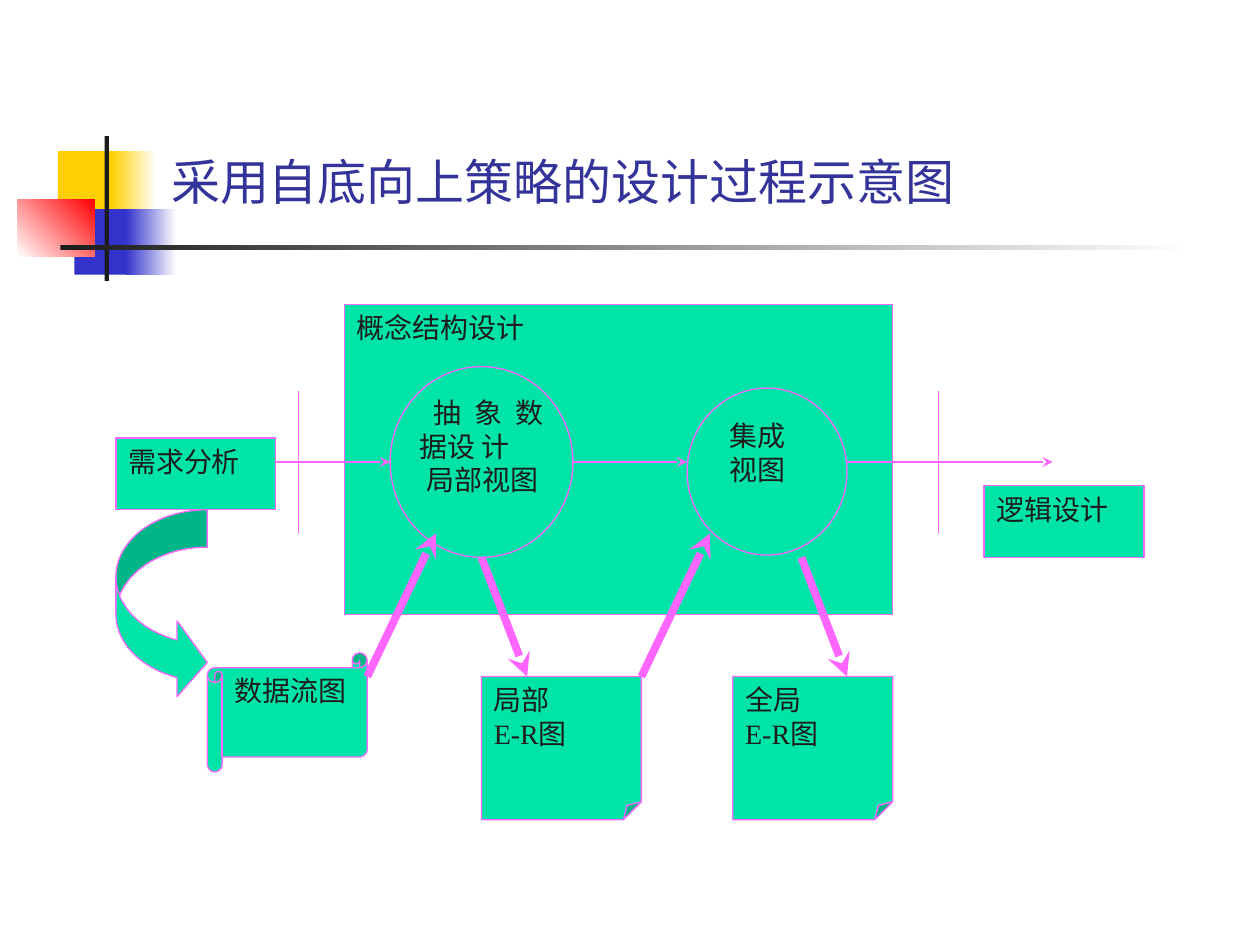
from dataclasses import dataclass
from lxml.etree import SubElement
from pptx import Presentation
from pptx.dml.color import RGBColor
from pptx.enum.shapes import MSO_CONNECTOR, MSO_SHAPE
from pptx.enum.text import MSO_ANCHOR, PP_ALIGN
from pptx.oxml.ns import qn
from pptx.util import Inches, Pt


@dataclass(frozen=True)
class Theme:
    panel: str = "00E4A8"
    outline: str = "FF66FF"
    ink: str = "1C1C1C"
    title: str = "333399"
    yellow: str = "FFCF01"
    blue: str = "3333CC"
    red: str = "FF0000"
    white: str = "FFFFFF"
    title_font: str = "Noto Sans CJK SC"
    body_font: str = "Times New Roman"
    title_size: float = 28
    body_size: float = 16
    thin: float = 0.75
    thick: float = 4.5


theme = Theme()
presentation = Presentation()
presentation.slide_width = Inches(10)
presentation.slide_height = Inches(7.5)
slide = presentation.slides.add_slide(presentation.slide_layouts[6])
percent_x = presentation.slide_width / 100
percent_y = presentation.slide_height / 100

grid_left, grid_top = Inches(0.92), Inches(2.91)
column, row = Inches(8.16) / 45, Inches(2.46) / 13


def grid_point(across, down):
    return int(grid_left + across * column), int(grid_top + down * row)


def set_font(paragraph, name, size, color):
    paragraph.font.name = name
    paragraph.font.size = Pt(size)
    paragraph.font.color.rgb = RGBColor.from_string(color)


ornaments = [
    (4.6, 16, 4.8, 6.93, [theme.yellow], 0),
    (8.8, 16, 3.6, 6.93, [theme.yellow, theme.white], 0),
    (5.9, 22.13, 4.6, 6.93, [theme.blue], 0),
    (10, 22.13, 4, 6.93, [theme.blue, theme.white], 0),
    (1.4, 21.07, 6.1, 6.13, [theme.white, theme.red], 45),
    (8.3, 14.4, 0.35, 15.33, [theme.ink], 0),
    (4.8, 25.95, 90, 0.47, [theme.ink, theme.white], 0),
]
for left, top, width, height, colors, angle in ornaments:
    shape = slide.shapes.add_shape(
        MSO_SHAPE.RECTANGLE, int(left * percent_x), int(top * percent_y),
        int(width * percent_x), int(height * percent_y))
    shape.shadow.inherit = False
    shape.line.fill.background()
    if len(colors) == 1:
        shape.fill.solid()
        shape.fill.fore_color.rgb = RGBColor.from_string(colors[0])
    else:
        shape.fill.gradient()
        shape.fill.gradient_angle = angle
        for stop, color in zip(shape.fill.gradient_stops, colors):
            stop.color.rgb = RGBColor.from_string(color)

title = slide.shapes.add_textbox(
    int(12.6 * percent_x), int(11.6 * percent_y),
    int(85.2 * percent_x), int(11.33 * percent_y))
title.text_frame.word_wrap = True
title.text_frame.vertical_anchor = MSO_ANCHOR.BOTTOM
title.text_frame.text = "采用自底向上策略的设计过程示意图"
set_font(title.text_frame.paragraphs[0], theme.title_font, theme.title_size, theme.title)

wide, narrow = (0.1, 0.05), (0.02, 0.01)
one_space, two_spaces = Pt(4), Pt(8)
corner = [("adj", 12500)]
curve = [("adj1", 41000), ("adj2", 83000), ("adj3", 33000)]
steps = [
    (MSO_SHAPE.RECTANGLE, 10, -2.6, 24, 13, wide, [("概念结构设计", 0)], []),
    (MSO_SHAPE.OVAL, 12, 0, 8, 8, narrow,
     [("抽象数据设 计", two_spaces), ("局部视图", one_space)], []),
    (MSO_SHAPE.OVAL, 25, 0.9, 7, 7, wide,
     [("集成", one_space), ("视图", one_space)], []),
    (MSO_SHAPE.RECTANGLE, 0, 3, 7, 3, wide, [("需求分析", 0)], []),
    (MSO_SHAPE.RECTANGLE, 38, 5, 7, 3, wide, [("逻辑设计", 0)], []),
    (MSO_SHAPE.HORIZONTAL_SCROLL, 4, 12, 7, 5, wide, [("数据流图", 0)], corner),
    (MSO_SHAPE.FOLDED_CORNER, 27, 13, 7, 6, wide, [("全局", 0), ("E-R图", 0)], corner),
    (MSO_SHAPE.FOLDED_CORNER, 16, 13, 7, 6, wide, [("局部", 0), ("E-R图", 0)], corner),
    (MSO_SHAPE.CURVED_RIGHT_ARROW, 0, 6, 4, 8, wide, [], curve),
]
for kind, across, down, columns, rows, inset, lines, guides in steps:
    shape = slide.shapes.add_shape(
        kind, *grid_point(across, down), int(columns * column), int(rows * row))
    shape.shadow.inherit = False
    shape.fill.solid()
    shape.fill.fore_color.rgb = RGBColor.from_string(theme.panel)
    shape.line.color.rgb = RGBColor.from_string(theme.outline)
    shape.line.width = Pt(theme.thin)
    if guides:
        shape._element.spPr.prstGeom.rewrite_guides(guides)
    frame = shape.text_frame
    frame.word_wrap = True
    frame.vertical_anchor = MSO_ANCHOR.TOP
    frame.margin_left = frame.margin_right = Inches(inset[0])
    frame.margin_top = frame.margin_bottom = Inches(inset[1])
    frame.text = "\n".join(text for text, indent in lines)
    for paragraph, (text, indent) in zip(frame.paragraphs, lines):
        paragraph.alignment = PP_ALIGN.JUSTIFY
        if indent:
            paragraph._p.get_or_add_pPr().set("indent", str(int(indent)))
        set_font(paragraph, theme.body_font, theme.body_size, theme.ink)

links = [
    ((7, 4), (12, 4), theme.thin, True),
    ((20, 4), (25, 4), theme.thin, True),
    ((32, 4), (41, 4), theme.thin, True),
    ((8, 1), (8, 7), theme.thin, False),
    ((36, 1), (36, 7), theme.thin, False),
    ((11, 13), (14, 7), theme.thick, True),
    ((23, 13), (26, 7), theme.thick, True),
    ((16, 8), (18, 13), theme.thick, True),
    ((30, 8), (32, 13), theme.thick, True),
]
for start, end, weight, has_arrow in links:
    connector = slide.shapes.add_connector(
        MSO_CONNECTOR.STRAIGHT, *grid_point(*start), *grid_point(*end))
    connector.line.color.rgb = RGBColor.from_string(theme.outline)
    connector.line.width = Pt(weight)
    properties = connector._element.spPr
    if has_arrow:
        SubElement(properties.find(qn("a:ln")), qn("a:tailEnd"), type="stealth")
    SubElement(properties, qn("a:effectLst"))

presentation.save("out.pptx")
